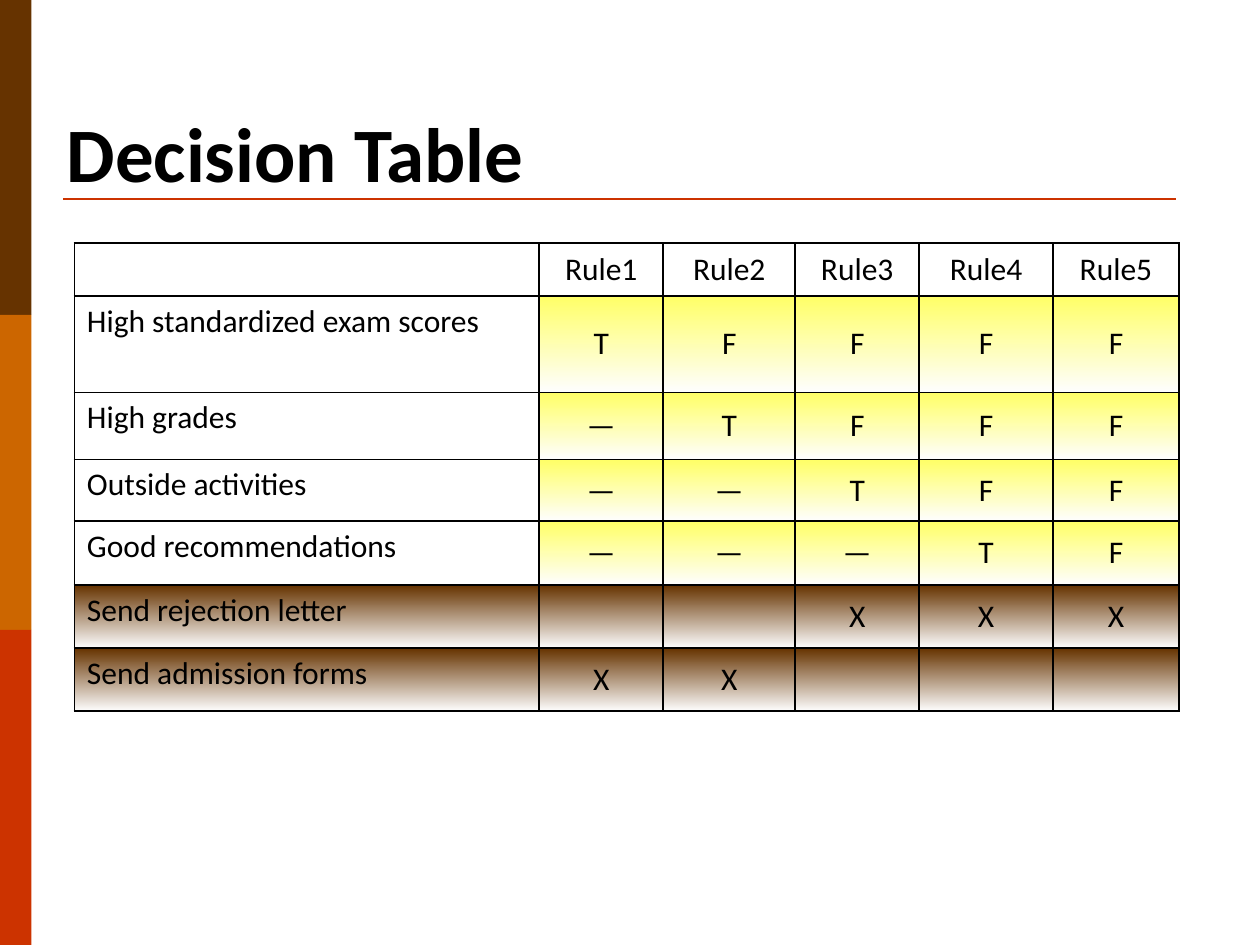
from lxml.etree import SubElement
from pptx import Presentation
from pptx.dml.color import RGBColor
from pptx.enum.shapes import MSO_CONNECTOR, MSO_SHAPE
from pptx.enum.text import MSO_ANCHOR, PP_ALIGN
from pptx.oxml import parse_xml
from pptx.oxml.ns import nsdecls, qn
from pptx.util import Pt

BLACK = RGBColor(0x00, 0x00, 0x00)
WHITE = RGBColor(0xFE, 0xFE, 0xFE)
BROWN = RGBColor(0x66, 0x33, 0x00)
ORANGE = RGBColor(0xCC, 0x66, 0x00)
RED = RGBColor(0xCC, 0x33, 0x00)
YELLOW = RGBColor(0xFF, 0xFF, 0x66)

FONT = "Calibri"
COLS = [265.7, 70.8, 75.5, 70.8, 76.5, 72]
ROWS = [30, 55.4, 38.4, 35.2, 36.6, 36, 36]
TINTS = [None] + [YELLOW] * 4 + [BROWN] * 2
RULES = [
    ["", "Rule1", "Rule2", "Rule3", "Rule4", "Rule5"],
    ["High standardized exam scores", "T", "F", "F", "F", "F"],
    ["High grades", "—", "T", "F", "F", "F"],
    ["Outside activities", "—", "—", "T", "F", "F"],
    ["Good recommendations", "—", "—", "—", "T", "F"],
    ["Send rejection letter", "", "", "X", "X", "X"],
    ["Send admission forms", "X", "X", "", "", ""],
]


def style(para, size, bold=False):
    """Format the font of a paragraph and its runs."""
    for font in [para.font] + [run.font for run in para.runs]:
        font.name = FONT
        font.size = Pt(size)
        font.bold = bold
        font.color.rgb = BLACK


def add_bands(slide, left, top, width, height):
    """Stack equal colour bands in the given box."""
    tints = [BROWN, ORANGE, RED]
    step = height / len(tints)
    for i, tint in enumerate(tints):
        band = slide.shapes.add_shape(
            MSO_SHAPE.RECTANGLE, Pt(left), Pt(top + i * step), Pt(width), Pt(step))
        band.shadow.inherit = False
        band.fill.solid()
        band.fill.fore_color.rgb = tint
        band.line.fill.background()


def add_title(slide, left, top, width, height):
    """Place the heading in the given box, with a rule near its foot."""
    box = slide.shapes.add_textbox(Pt(left), Pt(top), Pt(width), Pt(height))
    frame = box.text_frame
    frame.word_wrap = True
    frame.vertical_anchor = MSO_ANCHOR.BOTTOM
    frame.text = "Decision Table"
    style(frame.paragraphs[0], 44, True)
    base = Pt(top + height - 2.9)
    line = slide.shapes.add_connector(
        MSO_CONNECTOR.STRAIGHT, Pt(left + 5), base, Pt(left + width + 28.8), base)
    line.line.color.rgb = RED
    line.line.width = Pt(1.5)
    SubElement(line._element.spPr, qn("a:effectLst"))


def add_borders(cell):
    """Draw a thin black line on each side of a cell."""
    props = cell._tc.get_or_add_tcPr()
    for side in ("lnL", "lnR", "lnT", "lnB"):
        props.append(parse_xml(
            f'<a:{side} {nsdecls("a")} w="{Pt(1.08)}"><a:solidFill>'
            f'<a:srgbClr val="{BLACK}"/></a:solidFill></a:{side}>'))


def fill_cell(cell, tint):
    """Fade a cell from its tint down to white, or leave it clear."""
    if tint is None:
        cell.fill.background()
        return
    cell.fill.gradient()
    cell.fill.gradient_angle = 270
    for stop, color in zip(cell.fill.gradient_stops, (tint, WHITE)):
        stop.color.rgb = color


def add_rules(slide, left, top, width, height):
    """Build the decision table in the given box."""
    table = slide.shapes.add_table(
        len(ROWS), len(COLS), Pt(left), Pt(top), Pt(width), Pt(height)).table
    table.first_row = table.horz_banding = False
    for col, size in zip(table.columns, COLS):
        col.width = Pt(size * width / sum(COLS))
    for row, size in zip(table.rows, ROWS):
        row.height = Pt(size * height / sum(ROWS))
    for r, words in enumerate(RULES):
        for c, word in enumerate(words):
            cell = table.cell(r, c)
            cell.text_frame.text = word
            para = cell.text_frame.paragraphs[0]
            style(para, 18)
            if c:
                para.alignment = PP_ALIGN.CENTER
                cell.vertical_anchor = MSO_ANCHOR.MIDDLE
            add_borders(cell)
            fill_cell(cell, TINTS[r] if c or TINTS[r] == BROWN else None)


def main():
    """Build and save the slide."""
    deck = Presentation()
    deck.slide_width, deck.slide_height = Pt(720), Pt(540)
    slide = deck.slides.add_slide(deck.slide_layouts[6])
    add_bands(slide, 0, 0, 18, 540)
    add_title(slide, 31, 38.9, 612, 77.8)
    add_rules(slide, 42.5, 139, 631.3, 267.4)
    deck.save("out.pptx")


if __name__ == "__main__":
    main()
